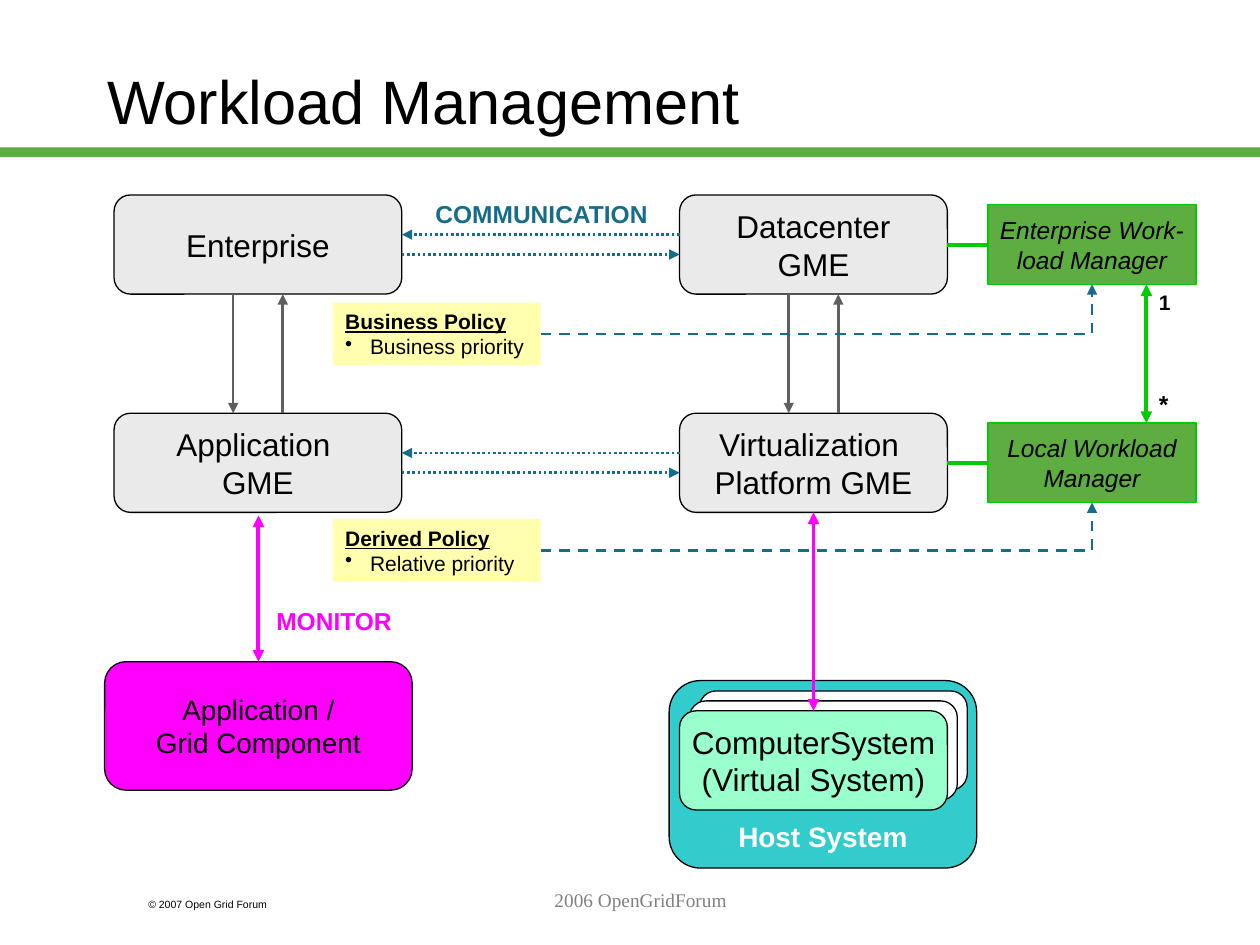
"""Build the Workload Management slide."""
from lxml import etree
from pptx import Presentation
from pptx.dml.color import RGBColor
from pptx.enum.dml import MSO_LINE
from pptx.enum.shapes import MSO_CONNECTOR as CONN, MSO_SHAPE as SHAPE
from pptx.enum.text import MSO_ANCHOR as ANCHOR, PP_ALIGN as ALIGN
from pptx.oxml.ns import qn
from pptx.util import Cm, Pt

C = {
    "black": "000000", "white": "FFFFFF", "grey": "EAEAEA", "arrow": "5F5F5F",
    "green": "5DAD41", "link": "00CC00", "blue": "176D89", "pink": "FF00FF",
    "yellow": "FFFF99", "teal": "33CCCC", "mint": "99FFCC", "footer": "808080",
}
C = {name: RGBColor.from_string(value) for name, value in C.items()}


def add_box(at, lines=(), kind=None, fill=None, line=None, color="black",
            align=ALIGN.CENTER, anchor=ANCHOR.MIDDLE, wrap=False, **font):
    at = [Cm(v) for v in at]
    if kind is None:
        sp = s.shapes.add_textbox(*at)
    else:
        sp = s.shapes.add_shape(kind, *at)
        sp.shadow.inherit = False
        sp.fill.solid()
        sp.fill.fore_color.rgb = C[fill]
        if line:
            sp.line.color.rgb = C[line]
            sp.line.width = Pt(0.75)
        else:
            sp.line.fill.background()
    tf = sp.text_frame
    tf.word_wrap, tf.vertical_anchor = wrap, anchor
    for i, text in enumerate(lines):
        p = tf.add_paragraph() if i else tf.paragraphs[0]
        p.alignment = align
        r = p.add_run()
        r.text = text
        r.font.color.rgb = C[color]
        for key, value in {"name": "Arial", "size": Pt(18), **font}.items():
            setattr(r.font, key, value)
    return sp


def add_line(ends, color, width, heads=("tailEnd",), dash=None, kind=CONN.STRAIGHT):
    cn = s.shapes.add_connector(kind, *[Cm(v) for v in ends])
    cn.line.color.rgb = C[color]
    cn.line.width = Pt(width)
    if dash:
        cn.line.dash_style = dash
    ln = cn.line._get_or_add_ln()
    for head in heads:
        etree.SubElement(ln, qn(f"a:{head}"), type="triangle")
    etree.SubElement(cn._element.spPr, qn("a:effectLst"))
    return cn


prs = Presentation()
prs.slide_width, prs.slide_height = Cm(25.4), Cm(19.05)
s = prs.slides.add_slide(prs.slide_layouts[6])

BOTH = ("headEnd", "tailEnd")
TOP, STEP = 3.93, 4.4
ROUND, RECT = SHAPE.ROUNDED_RECTANGLE, SHAPE.RECTANGLE

add_box((0, 2.97, 25.4, 0.2), kind=RECT, fill="green")
add_box((1.91, 0.43, 21.59, 3.18), ["Workload Management"], align=ALIGN.LEFT,
        wrap=True, size=Pt(35))

rows = [
    (["Enterprise"], ["Datacenter", "GME"],
     ["Enterprise Work-", "load Manager"], ["Business Policy", "Business priority"], 6.1),
    (["Application ", "GME"], ["Virtualization ", "Platform GME"],
     ["Local Workload", "Manager"], ["Derived Policy", "Relative priority"], 10.46),
]
managers, policies = [], []
for i, (left, right, manager, policy, policy_y) in enumerate(rows):
    y = TOP + i * STEP
    add_box((2.3, y, 5.8, 2), left, ROUND, "grey", "black")
    add_box((13.7, y, 5.4, 2), right, ROUND, "grey", "black")
    managers.append(add_box((19.92, y + 0.2, 4.19, 1.6), manager, RECT,
                            "green", "link", size=Pt(14), italic=True))
    for ends in ((13.7, y + 0.8, 8.1, y + 0.8), (8.1, y + 1.2, 13.7, y + 1.2)):
        add_line(ends, "blue", 1.5, dash=MSO_LINE.ROUND_DOT)
    add_line((19.92, y + 1, 19.1, y + 1), "link", 2.25, heads=())

    sp = add_box((6.71, policy_y, 4.19, 1.27), policy, RECT, "yellow",
                 align=ALIGN.LEFT, anchor=ANCHOR.TOP, wrap=True, size=Pt(12))
    rgb = sp.fill._xPr.find(f".//{qn('a:srgbClr')}")
    etree.SubElement(rgb, qn("a:alpha"), val="80000")
    head, item = sp.text_frame.paragraphs
    for key in ("bold", "underline"):
        setattr(head.runs[0].font, key, True)
    pPr = item._p.get_or_add_pPr()
    pPr.set("marL", str(Cm(0.5)))
    pPr.set("indent", str(Cm(-0.5)))
    etree.SubElement(pPr, qn("a:buChar"), char="•")
    policies.append(sp)

for x in (4.7, 15.9):
    add_line((x, TOP + 2, x, TOP + STEP), "arrow", 1.5)
    add_line((x + 1, TOP + STEP, x + 1, TOP + 2), "arrow", 1.5)

for policy, manager in zip(policies, managers):
    cn = add_line((10.9, 6.73, 22.01, 5.73), "blue", 1.5,
                  dash=MSO_LINE.DASH, kind=CONN.ELBOW)
    cn._element.spPr.find(qn("a:prstGeom")).set("prst", "bentConnector2")
    cn.begin_connect(policy, 3)
    cn.end_connect(manager, 2)

add_line((23.11, 5.73, 23.11, 8.53), "link", 2.25, BOTH)

add_box((13.49, 13.72, 6.2, 3.78), ["Host System"], ROUND, "teal", "black",
        "white", anchor=ANCHOR.BOTTOM, size=Pt(16), bold=True)
for i in (2, 1):
    add_box((13.7 + 0.2 * i, 14.33 - 0.2 * i, 5.4, 2), (), ROUND, "white", "black")
add_box((13.7, 14.33, 5.4, 2), ["ComputerSystem", "(Virtual System)"],
        ROUND, "mint", "black")
add_box((2.11, 13.34, 6.2, 2.59), ["Application /", "Grid Component"],
        ROUND, "pink", "black", size=Pt(16))
add_line((16.4, 10.33, 16.4, 14.33), "pink", 2.25, BOTH)
add_line((5.21, 10.39, 5.21, 13.34), "pink", 2.25, BOTH)

labels = [
    ((8.48, 3.89, 4.83, 0.86), "COMMUNICATION", "blue", ALIGN.RIGHT, 14),
    ((5.31, 12.09, 2.84, 0.86), "MONITOR", "pink", ALIGN.RIGHT, 14),
    ((23.11, 5.72, 0.74, 0.76), "1", "black", ALIGN.LEFT, 12),
    ((23.11, 7.72, 0.69, 0.86), "*", "black", ALIGN.LEFT, 14),
]
for at, text, color, align, size in labels:
    add_box(at, [text], color=color, align=align, anchor=ANCHOR.TOP,
            size=Pt(size), bold=True)

add_box((2.74, 17.98, 3.81, 0.51), ["© 2007 Open Grid Forum"], align=ALIGN.LEFT,
        anchor=ANCHOR.TOP, wrap=True, size=Pt(6))
add_box((5.51, 17.78, 14.81, 1.27), ["2006 OpenGridForum"], color="footer",
        anchor=ANCHOR.TOP, wrap=True, size=Pt(11), name="Times New Roman")

prs.save("out.pptx")
